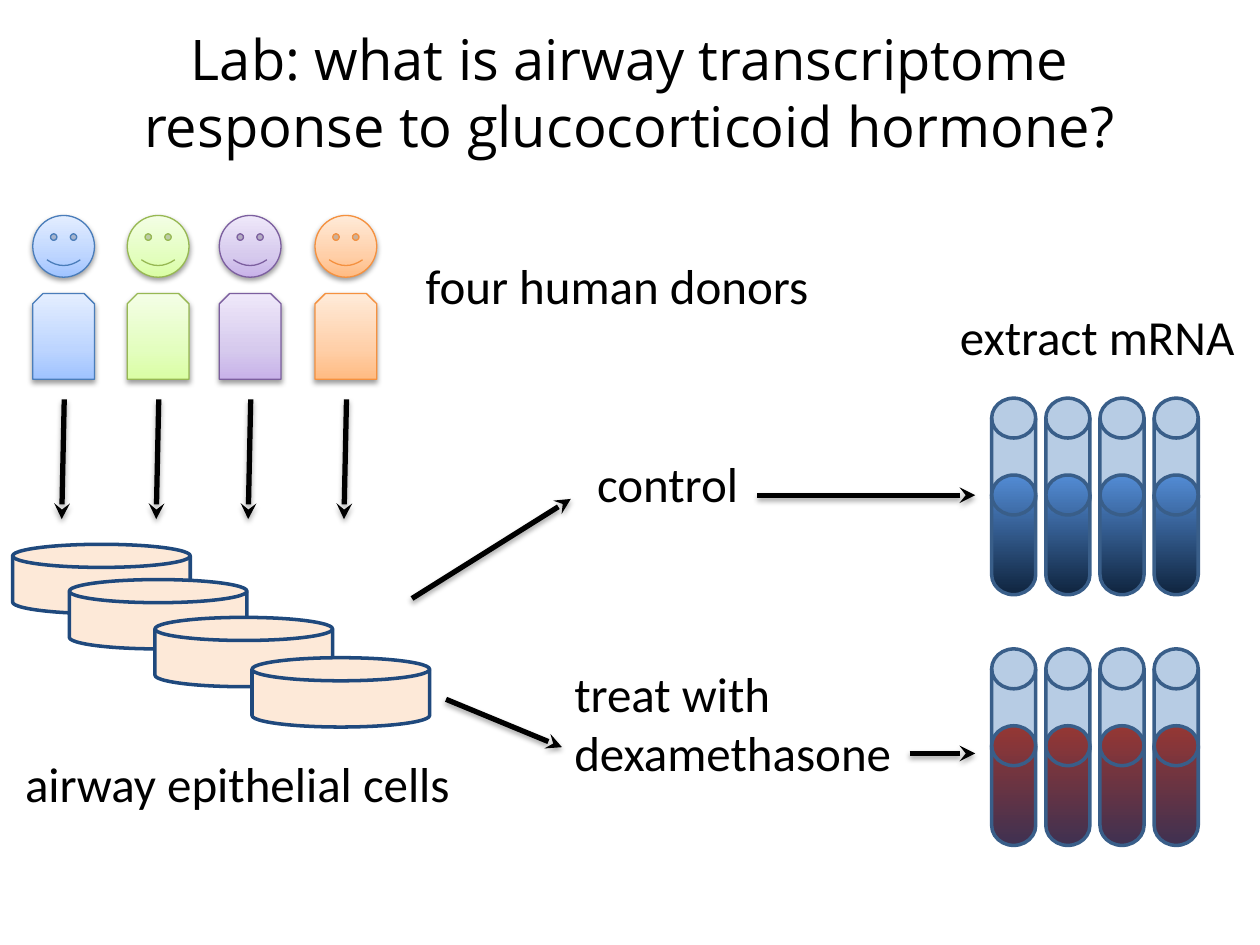
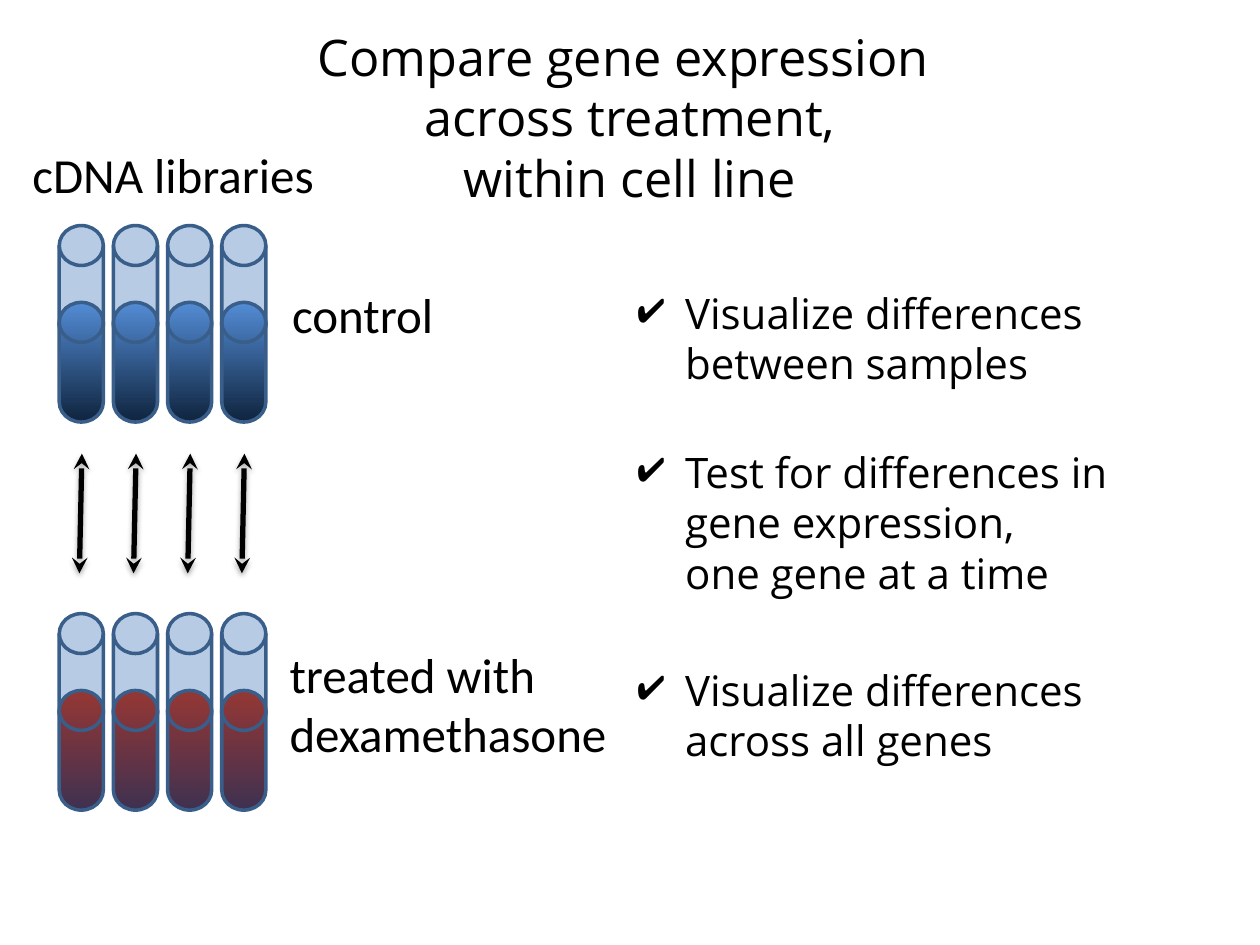
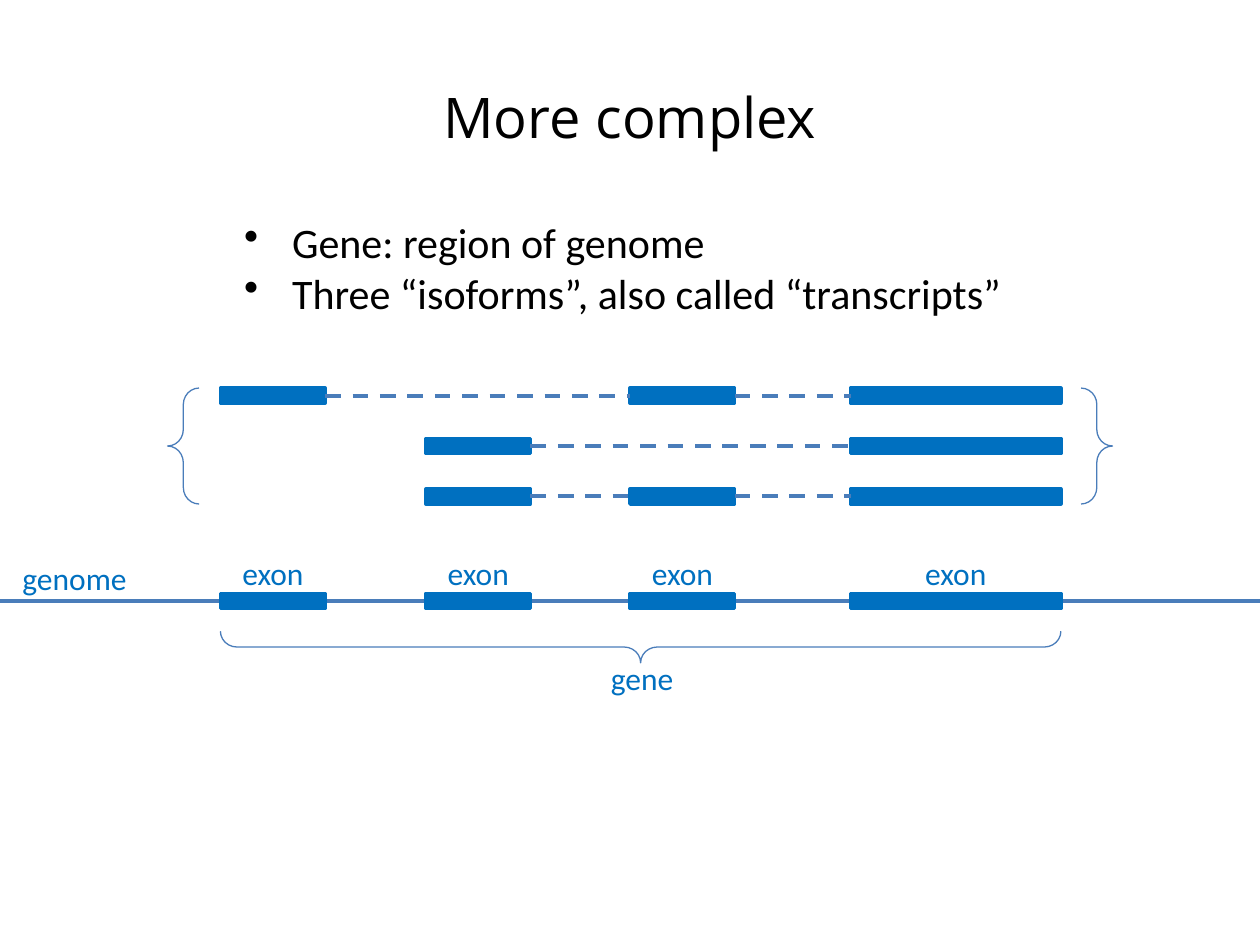
import copy
import dataclasses
import itertools
import typing

import pptx
import pptx.dml.color
import pptx.enum.dml
import pptx.enum.shapes
import pptx.enum.text
import pptx.oxml.ns
import pptx.oxml.xmlchemy
import pptx.util

Inches = pptx.util.Inches
Pt = pptx.util.Pt
qn = pptx.oxml.ns.qn
Shapes = pptx.enum.shapes.MSO_SHAPE
Align = pptx.enum.text.PP_ALIGN


@dataclasses.dataclass(frozen=True)
class Theme:
    title_font: str = "Open Sans"
    body_font: str = "Calibri"
    title_size: float = 32
    long_title_size: float = 28.8
    label_size: float = 28
    list_size: float = 24
    small_size: float = 18
    ink: str = "000000"
    exon: str = "0070C0"
    thin_line: str = "4A7DBA"
    dish: str = "FDE9D8"
    dish_line: str = "1F497D"
    glass: str = "B7CCE4"
    tube_line: str = "395E89"
    control: tuple = ((0, "538CD5"), (100, "0F243E"))
    treated: tuple = ((0, "953734"), (100, "3F3151"))


THEME = Theme()


class Box(typing.NamedTuple):
    left: float
    top: float
    width: float
    height: float


class Shadow(typing.NamedTuple):
    opacity: int
    distance: float


class Donor(typing.NamedTuple):
    left: float
    line: str
    shades: tuple


class Label(typing.NamedTuple):
    text: str
    box: Box


class Exon(typing.NamedTuple):
    left: float
    width: float

    @property
    def right(self) -> float:
        return self.left + self.width

    @property
    def center(self) -> float:
        return self.left + self.width / 2


SHAPE_SHADOW = Shadow(38, 1.6)
ARROW_SHADOW = Shadow(35, 1.8)

DONORS = [
    Donor(0.26, "4A7DBA", ("9FC3FF", "BDD5FF", "E4EEFF")),
    Donor(1.01, "97B853", ("DAFEA4", "E3FEBF", "F4FEE6")),
    Donor(1.74, "7C5F9F", ("C8B2E9", "D6CAED", "EFE8FA")),
    Donor(2.5, "F5913F", ("FFBB82", "FFCFA8", "FFEBD9")),
]
DISHES = [(0.1, 4.32), (0.55, 4.6), (1.23, 4.9), (2, 5.22)]
STUDY_LABELS = [
    Label("four human donors", Box(3.28, 1.98, 3.29, 0.57)),
    Label("airway epithelial cells", Box(0.1, 5.93, 3.62, 0.57)),
    Label("control", Box(4.64, 3.55, 1.35, 0.57)),
    Label("treat with\ndexamethasone", Box(4.46, 5.22, 2.76, 1.04)),
    Label("extract mRNA", Box(7.52, 2.38, 2.42, 0.57)),
]
STUDY_ARROWS = [
    ((3.27, 4.75), (4.53, 3.96)),
    ((3.54, 5.55), (4.46, 5.93)),
    ((7.22, 5.98), (7.74, 5.98)),
    ((6.01, 3.93), (7.74, 3.93)),
]
COMPARISON_LABELS = [
    Label("control", Box(2.22, 2.21, 1.35, 0.57)),
    Label("treated with\ndexamethasone", Box(2.2, 5.07, 2.76, 1.04)),
    Label("cDNA libraries", Box(0.16, 1.1, 2.47, 0.57)),
]
COMPARISON_STEPS = (
    "Visualize differences \vbetween samples\n"
    "Test for differences in gene expression, \vone gene at a time\n"
    "Visualize differences\vacross all genes"
)
EXONS = [Exon(1.75, 0.83), Exon(3.38, 0.83), Exon(5, 0.83), Exon(6.75, 1.67)]
ISOFORMS = [(0, 2, 3), (1, 3), (1, 2, 3)]
EXON_HEIGHT = 0.12
TUBES_PER_RACK = 4
TUBE_STEP = 0.43


def rgb(color: str) -> pptx.dml.color.RGBColor:
    return pptx.dml.color.RGBColor.from_string(color)


def add_element(parent, tag: str, **attributes):
    element = pptx.oxml.xmlchemy.OxmlElement(tag)
    for name, value in attributes.items():
        element.set(name, str(value))
    parent.append(element)
    return element


def place(box: Box) -> list:
    return [Inches(value) for value in box]


def write_text(text_frame, text: str, *, size: float, font: str = THEME.body_font,
               color: str = THEME.ink, align=Align.LEFT, bullet: str = "",
               gaps: tuple = ()) -> None:
    """Line feeds part paragraphs, vertical tabs break lines; gaps go before later paragraphs."""
    text_frame.word_wrap = True
    text_frame.text = text
    for paragraph in text_frame.paragraphs:
        if bullet:
            properties = paragraph._p.get_or_add_pPr()
            properties.set("marL", str(Inches(0.38)))
            properties.set("indent", str(-Inches(0.38)))
            add_element(properties, "a:buChar", char=bullet)
        paragraph.alignment = align
        for run in paragraph.runs:
            run.font.size = Pt(size)
            run.font.name = font
            run.font.color.rgb = rgb(color)
        for line_break in paragraph._p.findall(qn("a:br")):
            line_break.append(copy.deepcopy(paragraph.runs[0]._r.rPr))
    for paragraph, gap in zip(text_frame.paragraphs[1:], gaps):
        paragraph.space_before = Pt(gap)


def add_text(slide, text: str, box: Box, **text_format) -> None:
    write_text(slide.shapes.add_textbox(*place(box)).text_frame, text, **text_format)


def add_labels(slide, labels: list[Label]) -> None:
    for label in labels:
        add_text(slide, label.text, label.box, size=THEME.label_size)


def add_titled_slide(presentation, title: str, top: float = 0.3,
                     size: float = THEME.title_size):
    slide = presentation.slides.add_slide(presentation.slide_layouts[5])
    placeholder = slide.shapes.title
    placeholder.left, placeholder.top, placeholder.width, placeholder.height = place(
        Box(0.5, top, 9, 1.25))
    text_frame = placeholder.text_frame
    write_text(text_frame, title, size=size, font=THEME.title_font, align=Align.CENTER)
    text_frame.auto_size = pptx.enum.text.MSO_AUTO_SIZE.NONE
    text_frame.vertical_anchor = pptx.enum.text.MSO_ANCHOR.MIDDLE
    return slide


def add_shadow(effects, shadow: Shadow) -> None:
    outer = add_element(effects, "a:outerShdw", blurRad=Pt(3.1), dist=Pt(shadow.distance),
                        dir=90 * 60000, rotWithShape=0)
    color = add_element(outer, "a:srgbClr", val=THEME.ink)
    add_element(color, "a:alpha", val=shadow.opacity * 1000)


def fill_gradient(shape, stops: tuple, angle: int) -> None:
    """Stops pair a percentage with a colour; the angle runs counter-clockwise."""
    shape.fill.gradient()
    shape.fill.gradient_angle = angle
    stop_list = shape._element.spPr.find(qn("a:gradFill")).find(qn("a:gsLst"))
    for stop in list(stop_list):
        stop_list.remove(stop)
    for position, color in stops:
        stop = add_element(stop_list, "a:gs", pos=position * 1000)
        add_element(stop, "a:srgbClr", val=color)


def add_shape(slide, kind, box: Box, *, fill: str | tuple | None = None, line: str,
              line_width: float = 2, angle: int = 270, shadow: Shadow | None = None):
    shape = slide.shapes.add_shape(kind, *place(box))
    shape.shadow.inherit = False
    if shadow:
        add_shadow(shape._element.spPr.find(qn("a:effectLst")), shadow)
    if fill is None:
        shape.fill.background()
    elif isinstance(fill, str):
        shape.fill.solid()
        shape.fill.fore_color.rgb = rgb(fill)
    else:
        fill_gradient(shape, fill, angle)
    shape.line.color.rgb = rgb(line)
    shape.line.width = Pt(line_width)
    return shape


def add_line(slide, start: tuple, end: tuple, *, color: str = THEME.thin_line,
             width: float = 2.25, dashed: bool = False, arrow_ends: tuple = (),
             shadow: Shadow | None = None) -> None:
    connector = slide.shapes.add_connector(
        pptx.enum.shapes.MSO_CONNECTOR.STRAIGHT,
        *(Inches(value) for value in (*start, *end)))
    connector.line.color.rgb = rgb(color)
    connector.line.width = Pt(width)
    if dashed:
        connector.line.dash_style = pptx.enum.dml.MSO_LINE.DASH
    properties = connector._element.spPr
    for tag in arrow_ends:
        add_element(properties.find(qn("a:ln")), tag, type="stealth")
    effects = add_element(properties, "a:effectLst")
    if shadow:
        add_shadow(effects, shadow)


def add_arrow(slide, start: tuple, end: tuple, both_ways: bool = False) -> None:
    ends = ("a:headEnd", "a:tailEnd") if both_ways else ("a:tailEnd",)
    add_line(slide, start, end, color=THEME.ink, width=3, arrow_ends=ends,
             shadow=ARROW_SHADOW)


def add_donor(slide, donor: Donor) -> None:
    stops = tuple(zip((0, 35, 100), donor.shades))
    for kind, top, height in ((Shapes.SMILEY_FACE, 1.71, 0.49),
                              (Shapes.SNIP_2_SAME_RECTANGLE, 2.33, 0.68)):
        add_shape(slide, kind, Box(donor.left, top, 0.49, height), fill=stops, angle=90,
                  line=donor.line, line_width=0.75, shadow=SHAPE_SHADOW)
    add_arrow(slide, (donor.left + 0.25, 3.17), (donor.left + 0.23, 4.12))


def add_tube_rack(slide, left: float, top: float, liquid: tuple) -> None:
    for index in range(TUBES_PER_RACK):
        for offset, fill in ((0, THEME.glass), (0.61, liquid)):
            box = Box(left + index * TUBE_STEP, top + offset, 0.35, 0.95)
            add_shape(slide, Shapes.FLOWCHART_MAGNETIC_DISK, box, fill=fill,
                      line=THEME.tube_line)


def add_exon(slide, exon: Exon, top: float) -> None:
    add_shape(slide, Shapes.RECTANGLE, Box(exon.left, top, exon.width, EXON_HEIGHT),
              fill=THEME.exon, line=THEME.exon)


def add_isoform(slide, exons: list[Exon], top: float) -> None:
    for exon in exons:
        add_exon(slide, exon, top)
    middle = top + EXON_HEIGHT / 2
    for before, after in itertools.pairwise(exons):
        add_line(slide, (before.right, middle), (after.left, middle), dashed=True)


def add_brace(slide, kind, box: Box, rotation: int = 0) -> None:
    brace = add_shape(slide, kind, box, line=THEME.thin_line, line_width=0.75)
    brace.adjustments[0] = 0.524
    brace.rotation = rotation


def build_study_slide(presentation) -> None:
    slide = add_titled_slide(
        presentation,
        "Lab: what is airway transcriptome response to glucocorticoid hormone?", top=0.1)
    for donor in DONORS:
        add_donor(slide, donor)
    for left, top in DISHES:
        add_shape(slide, Shapes.FLOWCHART_MAGNETIC_DISK, Box(left, top, 1.41, 0.55),
                  fill=THEME.dish, line=THEME.dish_line)
    add_tube_rack(slide, 7.87, 3.16, THEME.control)
    add_tube_rack(slide, 7.87, 5.15, THEME.treated)
    add_labels(slide, STUDY_LABELS)
    for start, end in STUDY_ARROWS:
        add_arrow(slide, start, end)


def build_comparison_slide(presentation) -> None:
    slide = add_titled_slide(
        presentation, "Compare gene expression \vacross treatment,\vwithin cell line",
        size=THEME.long_title_size)
    add_text(slide, COMPARISON_STEPS, Box(4.96, 2.23, 4.54, 4.3), size=THEME.list_size,
             font=THEME.title_font, bullet="✔", gaps=(33.5, 38))
    add_tube_rack(slide, 0.47, 1.79, THEME.control)
    add_tube_rack(slide, 0.47, 4.87, THEME.treated)
    for index in range(TUBES_PER_RACK):
        left = 0.63 + index * TUBE_STEP
        add_arrow(slide, (left + 0.02, 3.6), (left, 4.55), both_ways=True)
    add_labels(slide, COMPARISON_LABELS)


def build_isoform_slide(presentation) -> None:
    slide = add_titled_slide(presentation, "More complex")
    add_text(slide, "Gene: region of genome\nThree “isoforms”, also called “transcripts”",
             Box(1.84, 1.67, 6.36, 0.91), size=THEME.list_size, bullet="•")
    add_line(slide, (0, 4.77), (10, 4.77))
    labels = [Label("genome", Box(0.08, 4.39, 1.25, 0.4)),
              Label("gene", Box(4.75, 5.18, 0.88, 0.4))]
    for exon in EXONS:
        add_exon(slide, exon, 4.71)
        labels.append(Label("exon", Box(exon.center - 0.34, 4.35, 0.7, 0.4)))
    for label in labels:
        add_text(slide, label.text, label.box, size=THEME.small_size, color=THEME.exon)
    for row, members in enumerate(ISOFORMS):
        add_isoform(slide, [EXONS[member] for member in members], 3.08 + row * 0.4)
    add_brace(slide, Shapes.LEFT_BRACE, Box(1.33, 3.08, 0.25, 0.92))
    add_brace(slide, Shapes.RIGHT_BRACE, Box(8.58, 3.08, 0.25, 0.92))
    add_brace(slide, Shapes.LEFT_BRACE, Box(4.96, 1.8, 0.25, 6.67), rotation=270)


def main() -> None:
    presentation = pptx.Presentation()
    presentation.slide_width = Inches(10)
    presentation.slide_height = Inches(7.5)
    build_study_slide(presentation)
    build_comparison_slide(presentation)
    build_isoform_slide(presentation)
    presentation.save("out.pptx")


if __name__ == "__main__":
    main()
